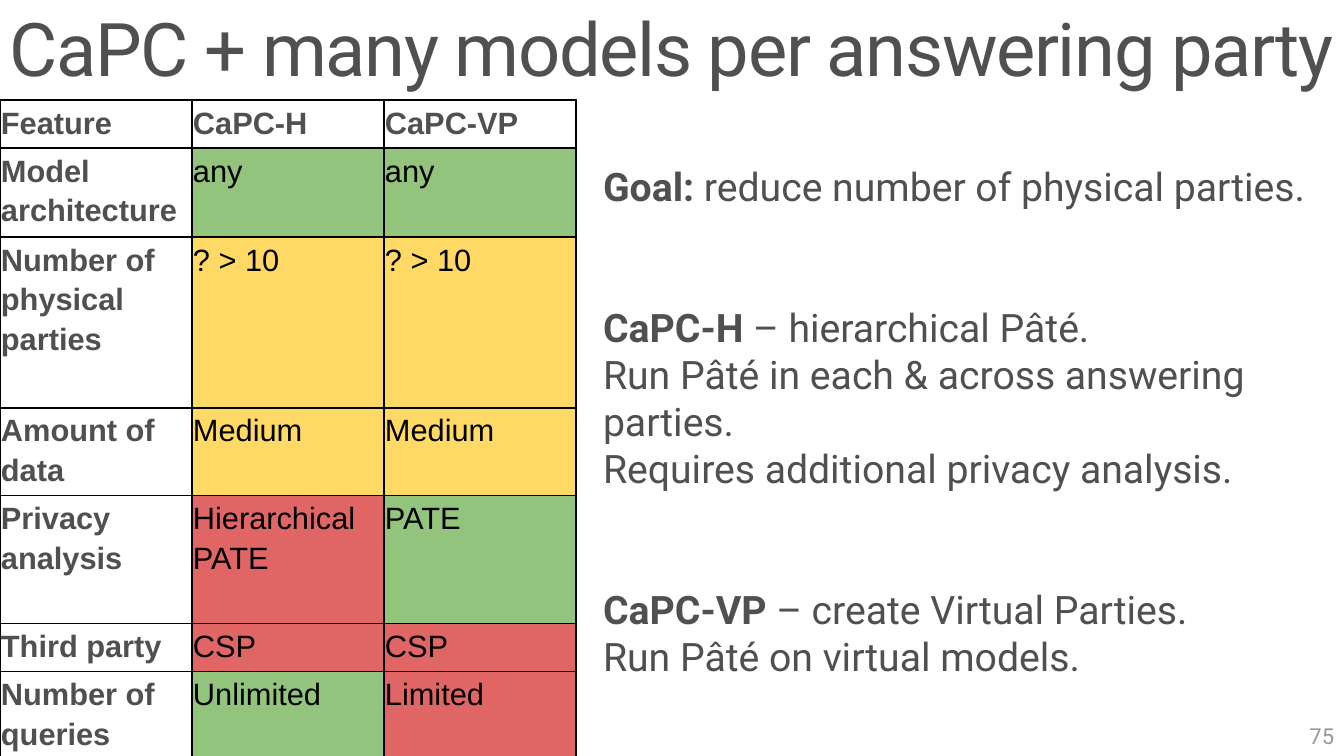
from lxml import etree
from pptx import Presentation, util as u
from pptx.dml.color import RGBColor
from pptx.enum import text
from pptx.oxml import ns

PX = 12192000 / 1344
GREY = RGBColor(0x50, 0x50, 0x50)
PALE = RGBColor(0x98, 0x98, 0x98)
BLACK = RGBColor(0, 0, 0)
GREEN = RGBColor(0x93, 0xC4, 0x7D)
YELLOW = RGBColor(0xFF, 0xD9, 0x66)
RED = RGBColor(0xE0, 0x66, 0x66)


def px(value):
    return u.Emu(round(value * PX))


def write(frame, paragraphs, size, color=GREY, font="Roboto", align=text.PP_ALIGN.LEFT,
          line=None, spacing=None):
    frame.word_wrap = True
    for index, (gap, spans) in enumerate(paragraphs):
        para = frame.add_paragraph() if index else frame.paragraphs[0]
        para.alignment = align
        para.line_spacing = line
        if gap:
            para.space_before = u.Pt(gap)
        for words, bold in spans:
            span = para.add_run()
            span.text = words
            span.font.name = font
            span.font.size = u.Pt(size)
            span.font.bold = bold
            span.font.color.rgb = color
            if spacing:
                span.font._element.set("spc", str(spacing))


deck = Presentation()
deck.slide_width, deck.slide_height = px(1344), px(756)
page = deck.slides.add_slide(deck.slide_layouts[6])

title = page.shapes.add_textbox(px(0), px(7), px(1344), px(91)).text_frame
title.margin_left = title.margin_right = 0
title.vertical_anchor = text.MSO_ANCHOR.MIDDLE
write(title, [(0, [("CaPC + many models per answering party", False)])], 52.9,
      align=text.PP_ALIGN.CENTER, line=0.9, spacing=-100)

notes = page.shapes.add_textbox(px(594), px(153), px(750), px(532)).text_frame
notes.margin_left = notes.margin_top = px(9)
write(notes, [
    (0, [("Goal: ", True), ("reduce number of physical parties.", False)]),
    (67, [("CaPC-H", True), (" – hierarchical Pâté.", False)]),
    (0, [("Run Pâté in each & across answering parties.", False)]),
    (0, [("Requires additional privacy analysis.", False)]),
    (67, [("CaPC-VP", True), (" – create Virtual Parties.", False)]),
    (0, [("Run Pâté on virtual models.", False)]),
], 28)

features = [
    (48, ["Feature"], ("CaPC-H", None), ("CaPC-VP", None)),
    (89, ["Model architecture"], ("any", GREEN), ("any", GREEN)),
    (171, ["Number of", "physical parties"], ("? > 10", YELLOW), ("? > 10", YELLOW)),
    (88, ["Amount of data"], ("Medium", YELLOW), ("Medium", YELLOW)),
    (128, ["Privacy analysis"], ("Hierarchical PATE", RED), ("PATE", GREEN)),
    (48, ["Third party"], ("CSP", RED), ("CSP", RED)),
    (84, ["Number of queries"], ("Unlimited", GREEN), ("Limited", RED)),
]
height = sum(feature[0] for feature in features)
table = page.shapes.add_table(len(features), 3, px(0), px(100), px(576), px(height)).table
table.first_row = table.horz_banding = False
for column in table.columns:
    column.width = px(192)
for row, (row_height, names, *ratings) in enumerate(features):
    table.rows[row].height = px(row_height)
    for column, (lines, fill) in enumerate([(names, None)] + [([words], fill) for words, fill in ratings]):
        cell = table.cell(row, column)
        cell.margin_left = cell.margin_right = cell.margin_top = cell.margin_bottom = px(1)
        heading = fill is None
        write(cell.text_frame, [(0, [(words, heading)]) for words in lines], 22,
              color=GREY if heading else BLACK, font="Arial", line=1.15)
        properties = cell._tc.get_or_add_tcPr()
        for side in ("a:lnL", "a:lnR", "a:lnT", "a:lnB"):
            border = etree.SubElement(properties, ns.qn(side), w=str(u.Pt(1)))
            solid = etree.SubElement(border, ns.qn("a:solidFill"))
            etree.SubElement(solid, ns.qn("a:srgbClr"), val=str(BLACK))
        if heading:
            cell.fill.background()
        else:
            cell.fill.solid()
            cell.fill.fore_color.rgb = fill

number = page.shapes.add_textbox(px(1041), px(716), px(303), px(40)).text_frame
number.vertical_anchor = text.MSO_ANCHOR.MIDDLE
write(number, [(0, [("75", False)])], 15.7, color=PALE, align=text.PP_ALIGN.RIGHT)

deck.save("out.pptx")
